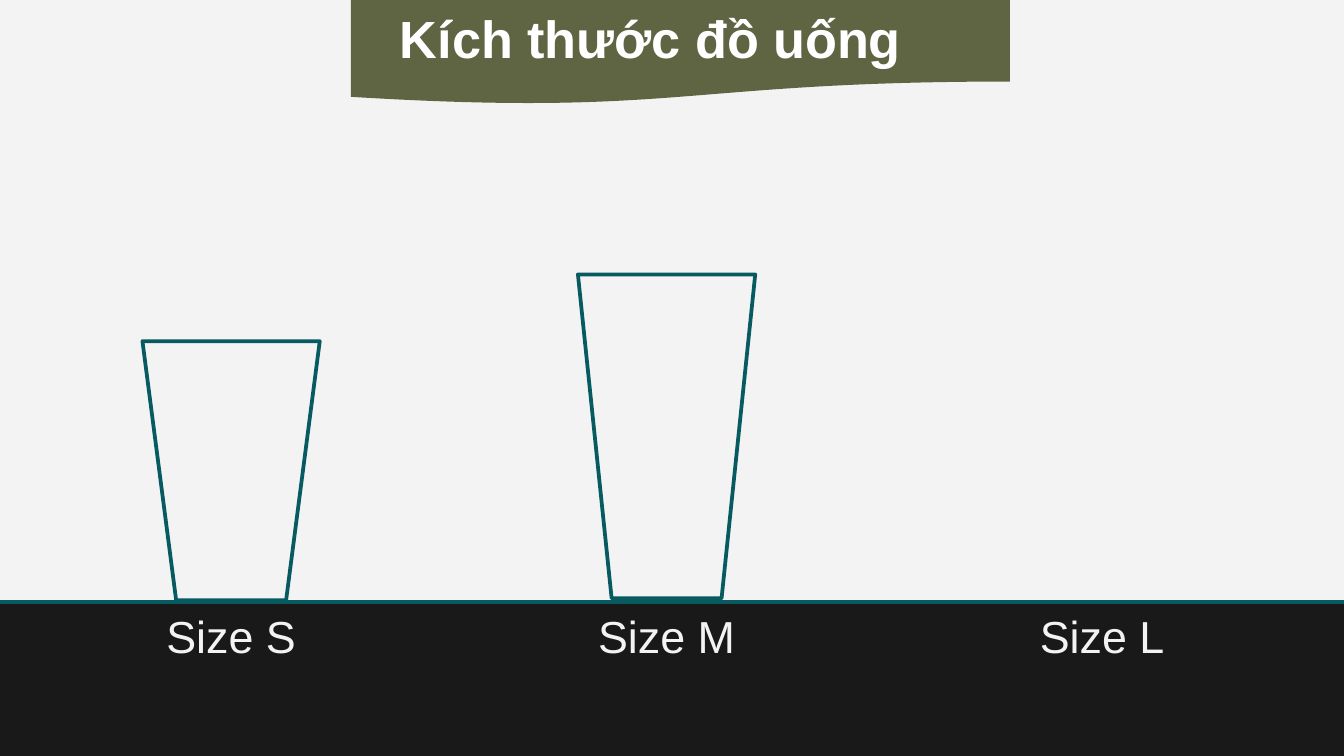
import pptx
import pptx.dml.color
import pptx.enum.shapes
import pptx.enum.text
import pptx.util

Pt = pptx.util.Pt
Shape = pptx.enum.shapes.MSO_SHAPE
Align = pptx.enum.text.PP_ALIGN
Anchor = pptx.enum.text.MSO_ANCHOR
AutoSize = pptx.enum.text.MSO_AUTO_SIZE


def color(value):
    return pptx.dml.color.RGBColor.from_string(value)


class Menu:
    """Holds the style and the current slide of a drinks menu."""

    font = "Arial"
    paper, olive, teal, counter_fill, white = "F3F3F3", "5F6443", "075A5F", "191919", "FFFFFF"

    def __init__(self, page):
        self.page = page
        page.background.fill.solid()
        page.background.fill.fore_color.rgb = color(self.paper)

    def shape(self, kind, frame, fill=None, line=None):
        shape = self.page.shapes.add_shape(kind, *map(Pt, frame))
        shape.shadow.inherit = False
        if fill:
            shape.fill.solid()
            shape.fill.fore_color.rgb = color(fill)
        else:
            shape.fill.background()
        if line:
            shape.line.color.rgb = color(line)
            shape.line.width = Pt(2)
        else:
            shape.line.fill.background()
        return shape

    def cup(self, center, top, height, width=95):
        frame = (center - width / 2, top, width, height)
        cup = self.shape(Shape.TRAPEZOID, frame, line=self.teal)
        cup.adjustments[0] = 0.19
        cup.rotation = 180

    def set_text(self, box, text, size, ink, align, bold=False):
        frame = box.text_frame
        frame.word_wrap = True
        frame.auto_size = AutoSize.SHAPE_TO_FIT_TEXT
        frame.vertical_anchor = Anchor.TOP
        frame.text = text
        para = frame.paragraphs[0]
        para.alignment = align
        para.font.name = self.font
        para.font.size = Pt(size)
        para.font.bold = bold
        para.font.color.rgb = color(ink)

    def label(self, center, text, width=118):
        box = self.page.shapes.add_textbox(Pt(center - width / 2), Pt(322.5), Pt(width), Pt(36))
        self.set_text(box, text, 24, self.paper, Align.CENTER)

    def title(self, text):
        box = self.page.shapes.title
        box.left, box.top, box.width, box.height = map(Pt, (207, 0, 326, 41))
        self.set_text(box, text, 28, self.white, Align.LEFT, bold=True)
        self.page.shapes.element.append(box.element)


def main():
    deck = pptx.Presentation()
    deck.slide_width, deck.slide_height = Pt(720), Pt(405)
    menu = Menu(deck.slides.add_slide(deck.slide_layouts[5]))
    centers = [123.8 + 233.3 * column for column in range(3)]

    menu.shape(Shape.FLOWCHART_DOCUMENT, (188, -6, 353, 62), fill=menu.olive)
    menu.cup(centers[1], 147, 173.5)
    menu.shape(Shape.RECTANGLE, (-45, 322.5, 811, 240), fill=menu.counter_fill, line=menu.teal)
    menu.cup(centers[0], 182.8, 138.8)
    for center, size in zip(centers, "SML"):
        menu.label(center, f"Size {size}")
    menu.title("Kích thước đồ uống")

    deck.save("out.pptx")


if __name__ == "__main__":
    main()
